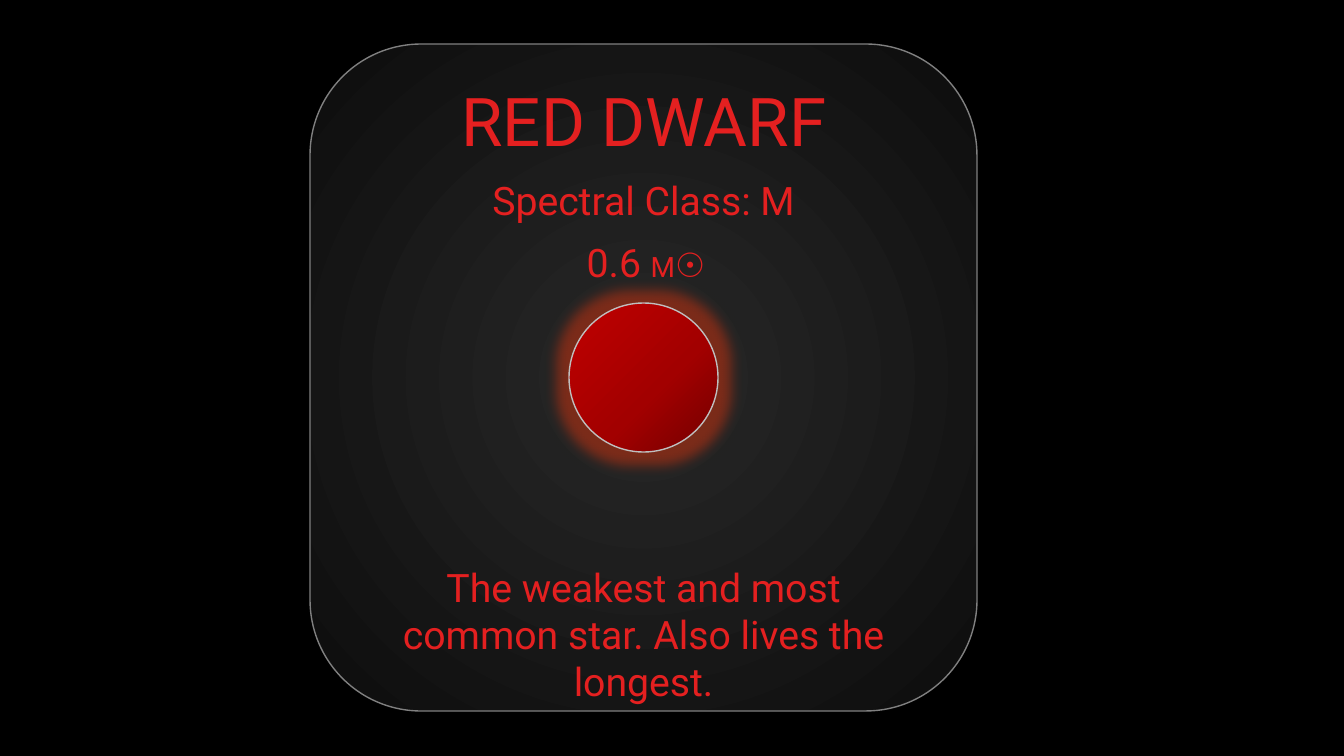
from lxml import etree
from pptx import Presentation, util as u
from pptx.dml.color import RGBColor
from pptx.enum import shapes, text
from pptx.oxml.ns import qn

PX = 12192000 / 1344
RED = "E42020"


def px(*lengths):
    return [u.Emu(round(n * PX)) for n in lengths]


def paint(color_format, value):
    color_format.rgb = RGBColor.from_string(value)


deck = Presentation()
deck.slide_width, deck.slide_height = px(1344, 756)
slide = deck.slides.add_slide(deck.slide_layouts[5])
slide.background.fill.solid()
paint(slide.background.fill.fore_color, "000000")

# Card and star: kind, box, gradient stops, outline, gradient direction
bodies = [
    (shapes.MSO_SHAPE.ROUNDED_RECTANGLE, (310, 44, 667, 667),
     [(8, "262626"), (100, "0D0D0D")], "808080", None),
    (shapes.MSO_SHAPE.OVAL, (569, 303, 149, 149),
     [(0, "720000"), (41, "A20000"), (100, "C00000")], "BFBFBF", 225),
]
for kind, box, stops, outline, angle in bodies:
    body = slide.shapes.add_shape(kind, *px(*box))
    body.shadow.inherit = False
    paint(body.line.color, outline)
    body.line.width = u.Pt(1)
    body.fill.gradient()
    gradient = body._element.spPr.find(qn("a:gradFill"))
    for child in list(gradient):
        gradient.remove(child)
    stop_list = etree.SubElement(gradient, qn("a:gsLst"))
    for percent, shade in stops:
        stop = etree.SubElement(stop_list, qn("a:gs"), pos=str(percent * 1000))
        etree.SubElement(stop, qn("a:srgbClr"), val=shade)
    if angle is None:
        radial = etree.SubElement(gradient, qn("a:path"), path="circle")
        etree.SubElement(radial, qn("a:fillToRect"),
                         {side: "50000" for side in "ltrb"})
    else:
        etree.SubElement(gradient, qn("a:lin"), ang=str(angle * 60000), scaled="0")

# Glow around the star, the last body drawn
effects = body._element.spPr.find(qn("a:effectLst"))
glow = etree.SubElement(effects, qn("a:glow"), rad=str(u.Pt(18)))
glow_color = etree.SubElement(glow, qn("a:srgbClr"), val="FF370A")
etree.SubElement(glow_color, qn("a:alpha"), val="40000")

# Texts: box, then runs with their sizes; the first is the title
captions = [
    ((424, 74, 440, 92), [("RED DWARF", 48)]),
    ((367, 171, 553, 57), [("Spectral Class: M", 28)]),
    ((573, 233, 146, 57), [("0.6 ", 28), ("M", 20), ("☉", 24)]),
    ((367, 558, 553, 152),
     [("The weakest and most common star. Also lives the longest.", 28)]),
]
title = slide.shapes.title
slide.shapes._spTree.append(title._element)  # bring in front of the card
frame_format = {"word_wrap": True, "vertical_anchor": text.MSO_ANCHOR.TOP,
                "auto_size": text.MSO_AUTO_SIZE.SHAPE_TO_FIT_TEXT}
for index, (box, runs) in enumerate(captions):
    caption = slide.shapes.add_textbox(*px(*box)) if index else title
    caption.left, caption.top, caption.width, caption.height = px(*box)
    for name, value in frame_format.items():
        setattr(caption.text_frame, name, value)
    line = caption.text_frame.paragraphs[0]
    line.alignment = text.PP_ALIGN.CENTER
    for words, size in runs:
        run = line.add_run()
        run.text = words
        run.font.name, run.font.size = "Roboto", u.Pt(size)
        paint(run.font.color, RED)

deck.save("out.pptx")
